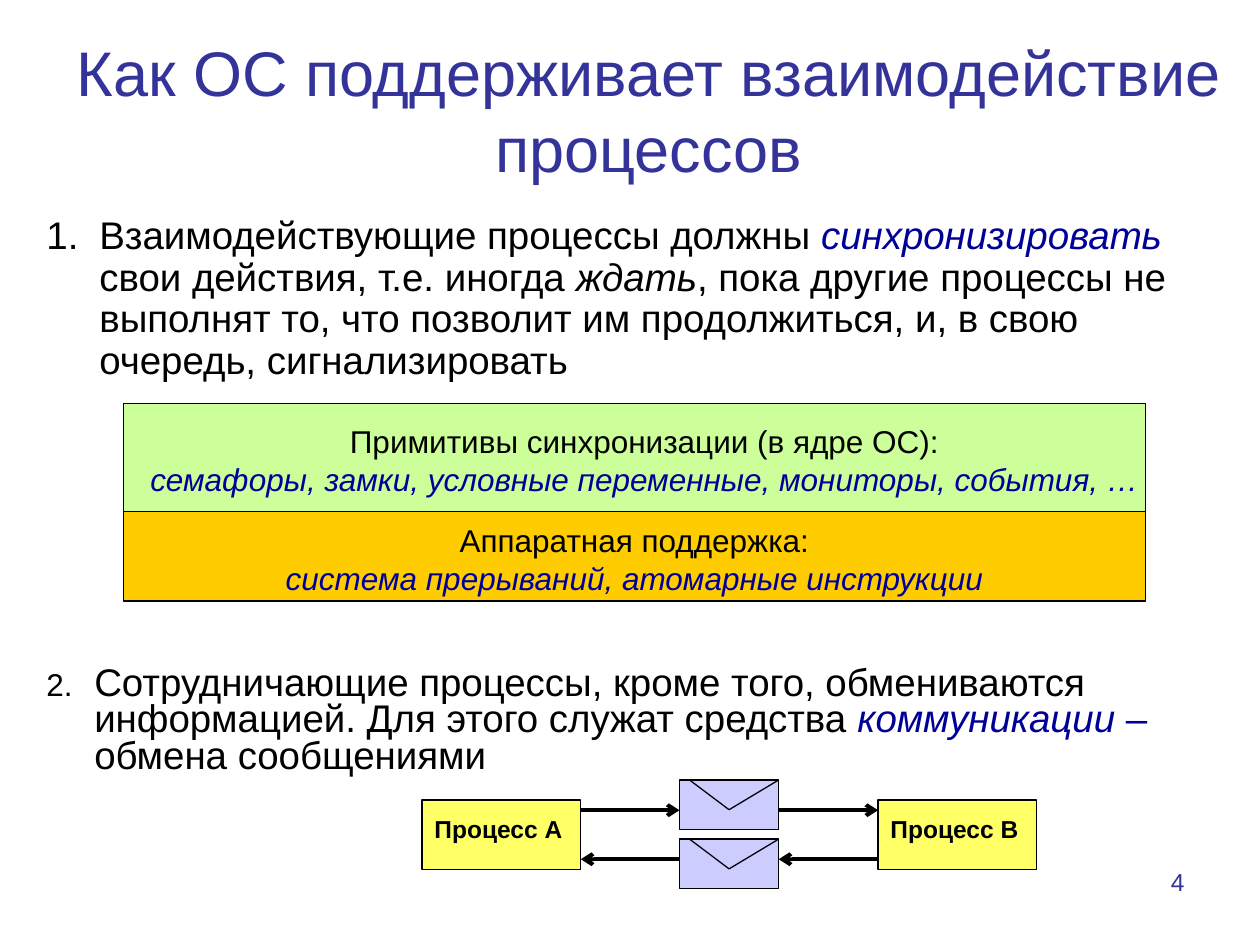
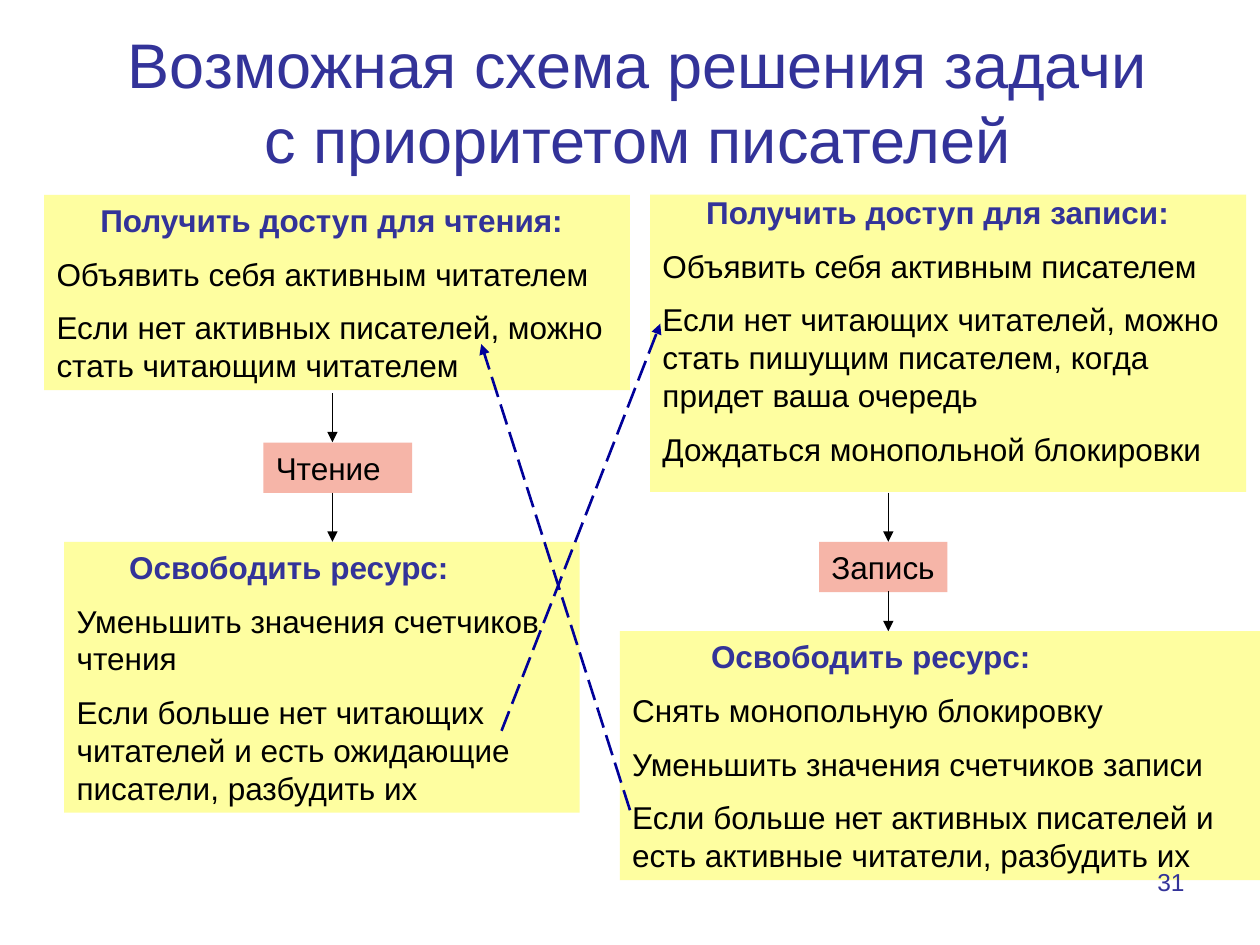
from lxml import etree
from pptx import Presentation
from pptx.dml.color import RGBColor
from pptx.enum import dml, shapes, text
from pptx.oxml import ns
from pptx.util import Pt

COLOURS = {
    "ink": "000000", "title": "333399", "term": "000099",
    "green": "CCFF99", "orange": "FFCC00", "yellow": "FFFF66",
    "lilac": "CCCCFF", "cream": "FEFEA0", "pink": "F6B5A8",
}
# style: colour, bold, italic
STYLES = {
    "plain": ("ink", False, False), "wait": ("ink", False, True),
    "term": ("term", False, True), "dash": ("term", False, False),
    "label": ("ink", True, False), "title": ("title", False, False),
    "heading": ("title", True, False),
}
LEFT, CENTER, RIGHT = (text.PP_ALIGN.LEFT, text.PP_ALIGN.CENTER, text.PP_ALIGN.RIGHT)
TOP, MIDDLE = text.MSO_ANCHOR.TOP, text.MSO_ANCHOR.MIDDLE
THIN, THICK = 0.75, 2.25


def add_block(slide, box, paragraphs=(), size=18, fill=None, outlined=False,
              align=LEFT, anchor=TOP, insets=(7.2, 3.6, 7.2), wrap=True):
    """Rectangle or text box; a paragraph is (space before, indent, line spacing, runs)."""
    box = [Pt(v) for v in box]
    if fill:
        block = slide.shapes.add_shape(shapes.MSO_SHAPE.RECTANGLE, *box)
        block.shadow.inherit = False
        block.fill.solid()
        block.fill.fore_color.rgb = RGBColor.from_string(COLOURS[fill])
        if outlined:
            block.line.color.rgb = RGBColor.from_string(COLOURS["ink"])
            block.line.width = Pt(THIN)
        else:
            block.line.fill.background()
    else:
        block = slide.shapes.add_textbox(*box)
    frame = block.text_frame
    frame.word_wrap = wrap
    frame.vertical_anchor = anchor
    frame.margin_left, frame.margin_top, frame.margin_right = [Pt(v) for v in insets]
    for i, (before, indent, spacing, runs) in enumerate(paragraphs):
        para = frame.add_paragraph() if i else frame.paragraphs[0]
        para.alignment = align
        para.space_before = Pt(before)
        para.line_spacing = float(spacing)
        para._p.get_or_add_pPr().set("indent", str(int(Pt(indent))))
        for words, style in runs:
            colour, bold, italic = STYLES[style]
            run = para.add_run()
            run.text = words
            run.font.name, run.font.size = "Arial", Pt(size)
            run.font.bold, run.font.italic = bold, italic
            run.font.color.rgb = RGBColor.from_string(COLOURS[colour])
    return frame


def add_line(slide, start, end, colour="ink", width=THIN, arrow=None, dashed=False):
    line = slide.shapes.add_connector(
        shapes.MSO_CONNECTOR.STRAIGHT, *[Pt(v) for v in (*start, *end)])
    line.line.color.rgb = RGBColor.from_string(COLOURS[colour])
    line.line.width = Pt(width)
    if dashed:
        line.line.dash_style = dml.MSO_LINE.LONG_DASH
    if arrow:
        etree.SubElement(line.get_or_add_ln(), ns.qn("a:tailEnd"), type=arrow)
    etree.SubElement(line._element.spPr, ns.qn("a:effectLst"))


deck = Presentation()
deck.slide_width, deck.slide_height = Pt(720), Pt(540)

# Both slides: title and page number
slides = []
for title, title_box, number in [
    ("Как ОС поддерживает взаимодействие процессов", (36, 8.64, 669.6, 108), "4"),
    ("Возможная схема решения задачи с приоритетом писателей",
     (59.76, 3.6, 609.12, 108), "31"),
]:
    slide = deck.slides.add_slide(deck.slide_layouts[6])
    add_block(slide, title_box, [(0, 0, 1, [(title, "title")])], 36,
              align=CENTER, anchor=MIDDLE)
    slides.append((slide, number))
interaction, writers = [slide for slide, _ in slides]

# Slide 1: numbered statements
statements = [
    ((19.44, 120.24, 676.08, 108), 0.9, 30.24, 100, [
        ("Взаимодействующие процессы должны ", "plain"),
        ("синхронизировать ", "term"),
        ("свои действия, т.е. иногда ", "plain"),
        ("ждать", "wait"),
        (", пока другие процессы не выполнят то, что позволит им продолжиться, "
         "и, в свою очередь, сигнализировать", "plain")]),
    ((19.44, 377.28, 674.64, 97.2), 0.8, 27.36, 82, [
        ("Сотрудничающие процессы, кроме того, обмениваются информацией. "
         "Для этого служат средства ", "plain"),
        ("коммуникации ", "term"),
        ("–", "dash"),
        (" обмена сообщениями", "plain")]),
]
for number, (box, spacing, hang, percent, runs) in enumerate(statements, 1):
    frame = add_block(interaction, box, [(5.5, -hang, spacing, runs)], 22)
    props = frame.paragraphs[0]._p.get_or_add_pPr()
    props.set("marL", str(int(Pt(hang))))
    etree.SubElement(props, ns.qn("a:buSzPct"), val=str(percent * 1000))
    etree.SubElement(props, ns.qn("a:buFont"), typeface="Arial")
    etree.SubElement(props, ns.qn("a:buAutoNum"), type="arabicPeriod", startAt=str(number))

# Slide 1: support layers
for top, height, fill, left_inset, layer, means in [
    (230.4, 62.4, "green", 18.7, "Примитивы синхронизации (в ядре ОС):",
     "семафоры, замки, условные переменные, мониторы, события, …"),
    (292.4, 51.1, "orange", 7.2, "Аппаратная поддержка:",
     "система прерываний, атомарные инструкции"),
]:
    add_block(interaction, (70.56, top, 583.92, height),
              [(0, 0, 1, [(layer, "plain")]), (0, 0, 1, [(means, "term")])],
              fill=fill, outlined=True, align=CENTER, anchor=MIDDLE,
              insets=(left_inset, 6, 7.2), wrap=False)

# Slide 1: two processes exchanging messages
process_w, envelope_w, envelope_h = 90.7, 56.7, 28.3
a_left, envelope_left, b_left = 241.2, 388.3, 501.8
a_right, envelope_right = a_left + process_w, envelope_left + envelope_w
for left, process in [(a_left, "Процесс А"), (b_left, "Процесс В")]:
    add_block(interaction, (left, 457.2, process_w, 39.7),
              [(0, 0, 1, [(process, "label")])], 14, fill="yellow", outlined=True,
              insets=(7.2, 8, 0))
for top, arrow_y, to_b in [(445.7, 463, True), (479.5, 491, False)]:
    add_block(interaction, (envelope_left, top, envelope_w, envelope_h),
              fill="lilac", outlined=True)
    fold = (envelope_left + envelope_w / 2, top + 17)
    for corner in (envelope_left + 5.7, envelope_right):
        add_line(interaction, (corner, top), fold)
    for left, right in [(a_right, envelope_left), (envelope_right, b_left)]:
        ends = [(left, arrow_y), (right, arrow_y)]
        add_line(interaction, *(ends if to_b else ends[::-1]), width=THICK, arrow="arrow")

# Slide 2: steps of readers and writers; a step is (space before, words)
for box, heading, indent, spacing, steps in [
    ((25.2, 111.4, 334.8, 111.6), "Получить доступ для чтения:", 25, 1, [
        (9, "Объявить себя активным читателем"),
        (9, "Если нет активных писателей, можно стать читающим читателем")]),
    ((371.5, 111.2, 340.6, 169.9), "Получить доступ для записи:", 25, 0.8, [
        (9, "Объявить себя активным писателем"),
        (9, "Если нет читающих читателей, можно"),
        (0, "стать пишущим писателем, когда"),
        (0, "придет ваша очередь"),
        (9, "Дождаться монопольной блокировки")]),
    ((354.2, 360.7, 365.8, 142.3), "Освободить ресурс:", 45, 1, [
        (9, "Снять монопольную блокировку"),
        (9, "Уменьшить значения счетчиков записи"),
        (9, "Если больше нет активных писателей и есть активные читатели, "
            "разбудить их")]),
    ((36.7, 309.6, 294.5, 154.8), "Освободить ресурс:", 30, 1, [
        (9, "Уменьшить значения счетчиков чтения"),
        (9, "Если больше нет читающих читателей и есть ожидающие писатели, "
            "разбудить их")]),
]:
    paragraphs = [(0, indent, spacing, [(heading, "heading")])]
    paragraphs += [(before, 0, 1, [(step, "plain")]) for before, step in steps]
    add_block(writers, box, paragraphs, fill="cream")

for box, action in [((150.5, 252.9, 85, 28.8), "Чтение"),
                    ((468, 309.6, 73.4, 28.8), "Запись")]:
    add_block(writers, box, [(0, 0, 1, [(action, "plain")])], fill="pink")

for x, top, bottom in [(190, 224.6, 252.7), (190, 281.5, 309.6),
                       (507.6, 281.5, 309.6), (507.6, 337.7, 360.7)]:
    add_line(writers, (x, top), (x, bottom), arrow="triangle")
for waker, woken in [((286.6, 417.6), (377.3, 185)), ((360, 463), (275, 196.6))]:
    add_line(writers, waker, woken, "term", 1.5, "triangle", dashed=True)

for slide, number in slides:
    add_block(slide, (516.24, 491.76, 167.76, 37.44),
              [(0, 0, 1, [(number, "title")])], 14, align=RIGHT)

deck.save("out.pptx")
